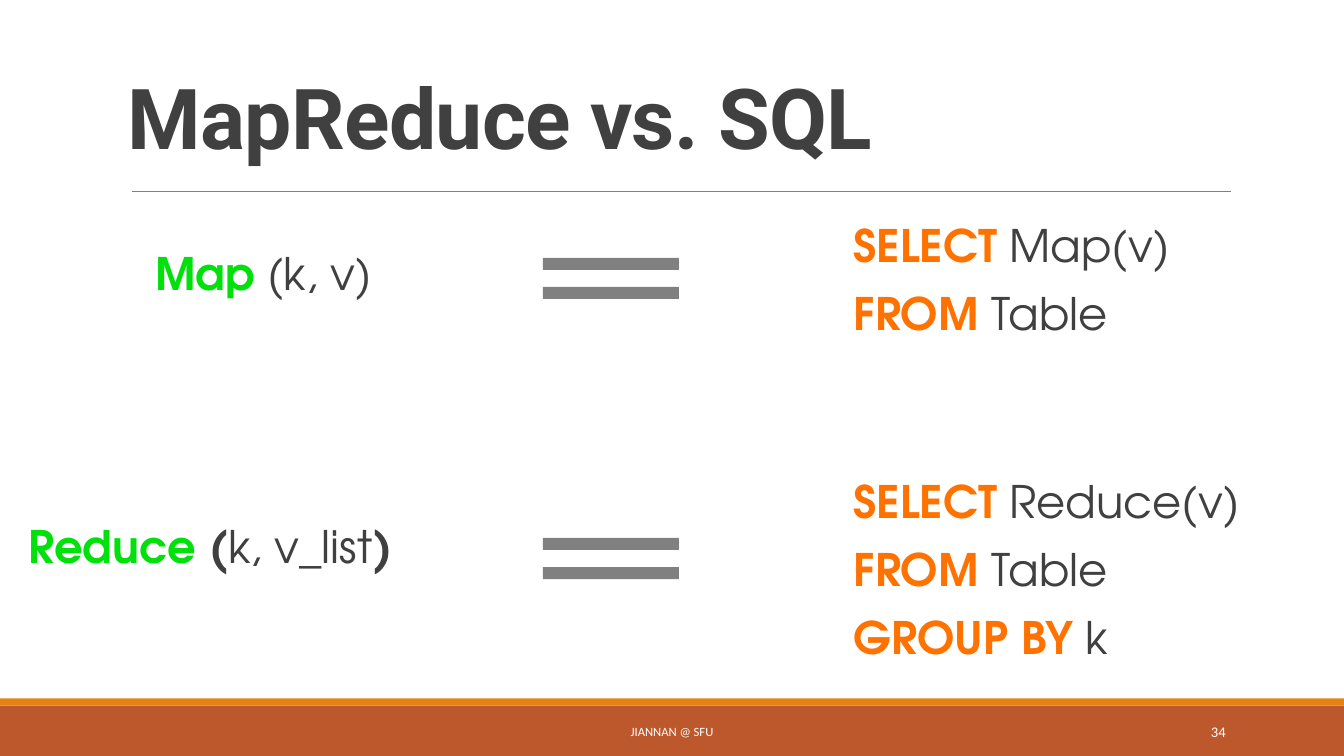
import dataclasses
import pptx
import pptx.util
import pptx.dml.color
import pptx.enum.shapes
import pptx.enum.text
from lxml import etree

Cm = pptx.util.Cm
Pt = pptx.util.Pt
Shape = pptx.enum.shapes.MSO_SHAPE
Align = pptx.enum.text.PP_ALIGN
Anchor = pptx.enum.text.MSO_ANCHOR


@dataclasses.dataclass(frozen=True)
class Theme:
    ink: str = "404040"
    gray: str = "808080"
    green: str = "00E10C"
    orange: str = "FF7200"
    rust: str = "BD582C"
    amber: str = "E48312"
    white: str = "FFFFFF"
    head: str = "Roboto"
    code: str = "TeX Gyre Adventor"
    small: str = "Calibri"
    title: float = 60
    body: float = 32
    foot: float = 9
    page: float = 10.5


THEME = Theme()


def color(code):
    return pptx.dml.color.RGBColor.from_string(code)


def add_block(slide, kind, box, fill):
    shape = slide.shapes.add_shape(kind, *map(Cm, box))
    shape.shadow.inherit = False
    shape.fill.solid()
    shape.fill.fore_color.rgb = color(fill)
    shape.line.fill.background()
    return shape


def add_equals(slide, top):
    sign = add_block(slide, Shape.MATH_EQUAL, (13.06, top, 4.67, 1.93), THEME.gray)
    sign.adjustments[0] = 0.157
    sign.adjustments[1] = 0.222


def add_rule(slide, left, right, top):
    kind = pptx.enum.shapes.MSO_CONNECTOR.STRAIGHT
    rule = slide.shapes.add_connector(kind, Cm(left), Cm(top), Cm(right), Cm(top))
    rule.line.color.rgb = color(THEME.gray)
    rule.line.width = Pt(0.5)
    props = rule._element.spPr
    etree.SubElement(props, pptx.oxml.ns.qn("a:effectLst"))


def add_frame(slide, box, anchor):
    frame = slide.shapes.add_textbox(*map(Cm, box)).text_frame
    frame.word_wrap = True
    frame.vertical_anchor = anchor
    return frame


def add_label(slide, box, text, face, size, tint, align, anchor=Anchor.MIDDLE):
    para = add_frame(slide, box, anchor).paragraphs[0]
    para.alignment = align
    para.font.name = face
    para.font.size = Pt(size)
    para.font.color.rgb = color(tint)
    para.add_run().text = text
    return para


def add_title(slide, text):
    para = add_label(slide, (2.97, 0.28, 27.94, 4.04), text, THEME.head,
                     THEME.title, THEME.ink, Align.LEFT, Anchor.BOTTOM)
    para.line_spacing = 0.85
    para.font.bold = True
    para.runs[0]._r.get_or_add_rPr().set("spc", "-50")


def add_code(slide, box, lines):
    frame = add_frame(slide, box, Anchor.TOP)
    frame.margin_left = frame.margin_right = 0
    for i, line in enumerate(lines):
        para = frame.add_paragraph() if i else frame.paragraphs[0]
        para._p.get_or_add_pPr().set("marL", str(Cm(0.25)))
        para.line_spacing = 0.9
        para.space_before = Pt(12 if i else 0)
        para.space_after = Pt(2)
        para.font.name = THEME.code
        para.font.size = Pt(THEME.body)
        for text, tint, bold in line:
            run = para.add_run()
            run.text = text
            run.font.bold = bold
            run.font.color.rgb = color(tint)


def clause(word, rest, tint=THEME.orange):
    return [(word + " ", tint, True), (rest, THEME.ink, False)]


def main():
    deck = pptx.Presentation()
    deck.slide_width = Cm(33.87)
    deck.slide_height = Cm(19.05)
    slide = deck.slides.add_slide(deck.slide_layouts[6])

    add_block(slide, Shape.RECTANGLE, (0, 17.78, 33.87, 1.27), THEME.rust)
    add_block(slide, Shape.RECTANGLE, (0, 17.6, 33.87, 0.18), THEME.amber)
    add_rule(slide, 3.33, 31.01, 4.83)
    add_title(slide, "MapReduce vs. SQL")

    add_code(slide, (3.66, 6.22, 14.07, 2.13),
             [clause("Map", "(k, v)", THEME.green)])
    add_code(slide, (0.46, 13.11, 11.68, 2.13),
             [[("Reduce ", THEME.green, True), ("(", THEME.ink, True),
               ("k, v_list", THEME.ink, False), (")", THEME.ink, True)]])
    source = clause("FROM", "Table")
    add_code(slide, (21.26, 5.51, 9.5, 5.74),
             [clause("SELECT", "Map(v)"), source])
    add_code(slide, (21.26, 11.96, 11.35, 5.74),
             [clause("SELECT", "Reduce(v)"), source, clause("GROUP BY", "k")])
    for top in (6.05, 13.11):
        add_equals(slide, top)

    add_label(slide, (10.24, 17.93, 13.39, 1.02), "JIANNAN @ SFU",
              THEME.small, THEME.foot, THEME.white, Align.CENTER)
    add_label(slide, (27.51, 17.93, 3.63, 1.02), "34",
              THEME.small, THEME.page, THEME.white, Align.RIGHT)
    deck.save("out.pptx")


if __name__ == "__main__":
    main()
